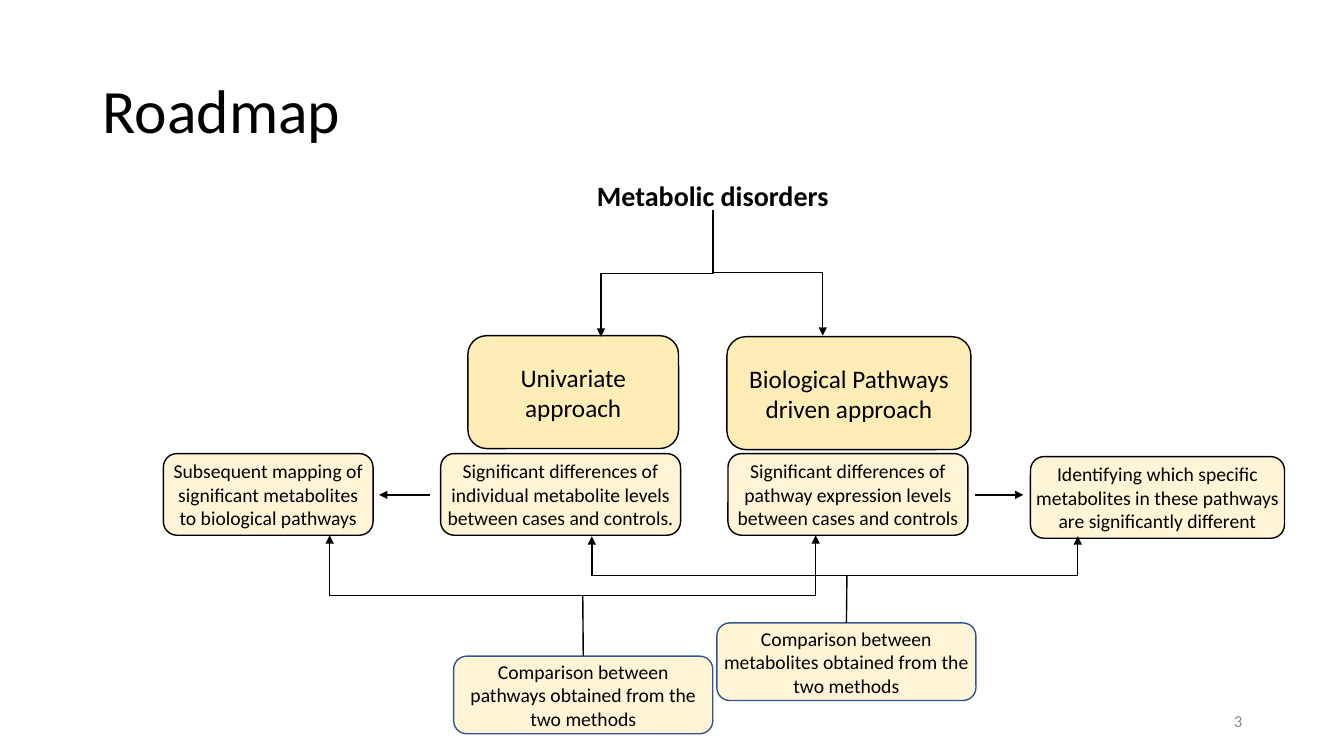
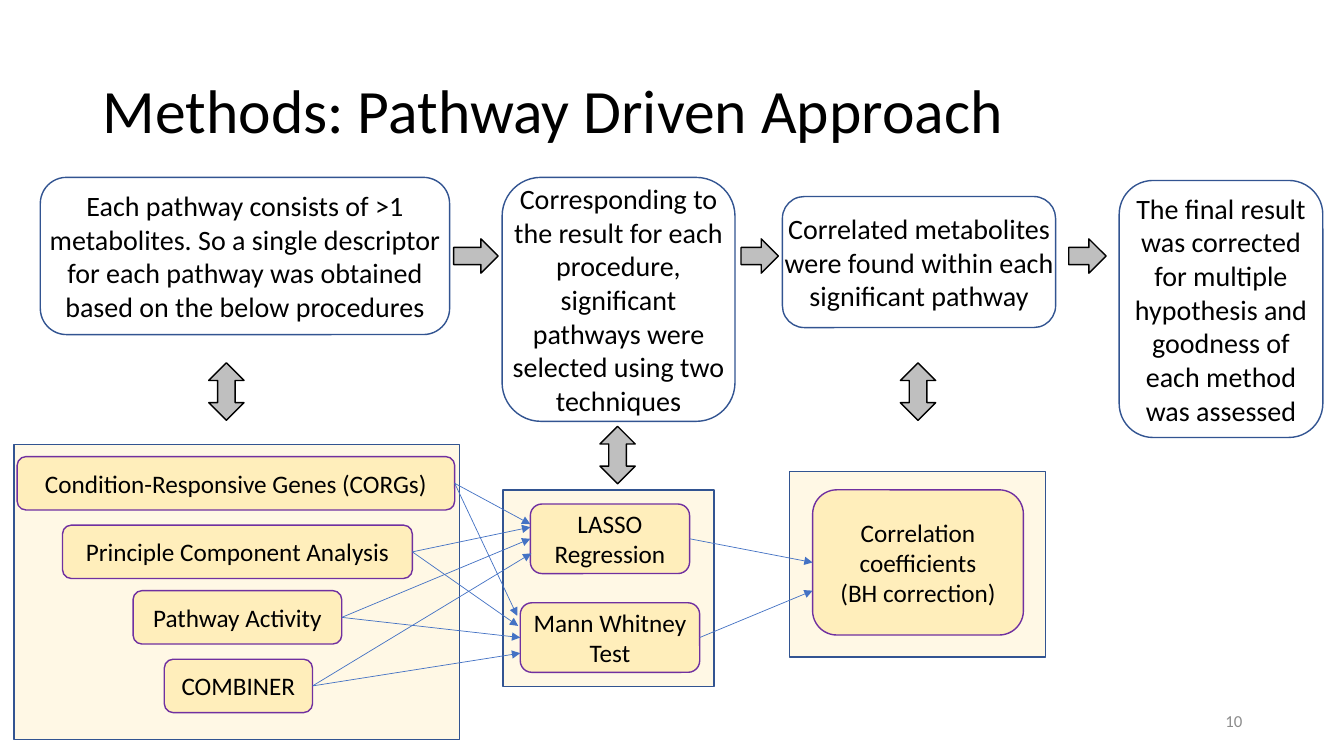
from lxml.etree import SubElement
from pptx import Presentation
from pptx.dml.color import RGBColor
from pptx.enum.shapes import MSO_CONNECTOR, MSO_SHAPE
from pptx.enum.text import MSO_ANCHOR, PP_ALIGN
from pptx.oxml.ns import qn
from pptx.util import Inches, Pt

FONT = "Calibri"
BLACK = RGBColor(0x00, 0x00, 0x00)
NUMBER_GREY = RGBColor(0x8C, 0x8C, 0x8C)
ARROW_GREY = RGBColor(0xBF, 0xBF, 0xBF)
GOLD = RGBColor(0xFF, 0xE6, 0x99)
CREAM = RGBColor(0xFF, 0xF2, 0xCC)
NAVY = RGBColor(0x32, 0x54, 0x91)
PURPLE = RGBColor(0x70, 0x30, 0xA0)
BLUE = RGBColor(0x44, 0x72, 0xC4)
ROUNDED = MSO_SHAPE.ROUNDED_RECTANGLE
RIGHT_SIDE, LEFT_SIDE, TOP_SIDE = 3, 1, 0


def add_box(slide, kind, place, text="", size=18, fill=None, opacity=100,
            outline=None, color=BLACK, bold=False, align=PP_ALIGN.CENTER):
    """Add a shape, or a plain text box when kind is None; place is in inches."""
    bounds = [Inches(value) for value in place]
    if kind is None:
        box = slide.shapes.add_textbox(*bounds)
    else:
        box = slide.shapes.add_shape(kind, *bounds)
        box.shadow.inherit = False
        box.line.color.rgb = outline
        box.line.width = Pt(1)
        if fill is None:
            box.fill.background()
        else:
            box.fill.solid()
            box.fill.fore_color.rgb = fill
            if opacity < 100:
                tint = box.fill._xPr.find(qn("a:solidFill"))[0]
                SubElement(tint, qn("a:alpha"), val=str(opacity * 1000))
    if text:
        frame = box.text_frame
        frame.word_wrap = True
        frame.vertical_anchor = MSO_ANCHOR.MIDDLE
        frame.margin_top = frame.margin_bottom = 0
        for index, words in enumerate(text.split("\n")):
            para = frame.add_paragraph() if index else frame.paragraphs[0]
            para.alignment = align
            span = para.add_run()
            span.text = words
            span.font.name = FONT
            span.font.size = Pt(size)
            span.font.bold = bold
            span.font.color.rgb = color
    return box


def add_line(slide, start, end, color=BLACK, width=1, arrow=True,
             kind=MSO_CONNECTOR.STRAIGHT):
    line = slide.shapes.add_connector(kind, *[Inches(v) for v in (*start, *end)])
    line.line.color.rgb = color
    line.line.width = Pt(width)
    if arrow:
        SubElement(line.line._get_or_add_ln(), qn("a:tailEnd"), type="triangle")
    SubElement(line._element.spPr, qn("a:effectLst"))
    return line


deck = Presentation()
deck.slide_width = Inches(13.33)
deck.slide_height = Inches(7.5)

slides = []
for title, number in [("Roadmap", "3"), ("Methods: Pathway Driven Approach", "10")]:
    slide = deck.slides.add_slide(deck.slide_layouts[6])
    heading = add_box(slide, None, (0.92, 0.4, 11.5, 1.45), title, 44,
                      align=PP_ALIGN.LEFT)
    heading.text_frame.paragraphs[0].line_spacing = 0.9
    add_box(slide, None, (9.42, 6.95, 3, 0.4), number, 12, color=NUMBER_GREY,
            align=PP_ALIGN.RIGHT)
    slides.append(slide)
roadmap, methods = slides

# Roadmap: the question and its two approaches
add_box(roadmap, None, (5.57, 1.72, 3, 0.44), "Metabolic disorders", 20, bold=True)
for place, text in [
    ((4.64, 3.33, 2.09, 1.12), "Univariate approach"),
    ((7.21, 3.34, 2.42, 1.12), "Biological Pathways driven approach"),
]:
    add_box(roadmap, ROUNDED, place, text, fill=GOLD, opacity=70, outline=BLACK)

# An elbow is laid flat, then turned so that it leaves downwards
for start, end, turn in [
    ((8.24, 2.16), (6.99, 3.25), 270),
    ((5.89, 2.16), (7.14, 3.27), 90),
]:
    elbow = add_line(roadmap, start, end, kind=MSO_CONNECTOR.ELBOW)
    elbow._element.spPr.find(qn("a:xfrm")).set("rot", str(turn * 60000))

# Labels may be wider than their box by the spread on either side
steps = []
for place, spread, outline, text in [
    ((1.62, 4.5, 2.08, 0.81), 0, BLACK,
     "Subsequent mapping of significant metabolites to biological pathways"),
    ((4.37, 4.5, 2.38, 0.81), 0.08, BLACK,
     "Significant differences of individual metabolite levels between cases and controls."),
    ((7.22, 4.5, 2.38, 0.81), 0.02, BLACK,
     "Significant differences of pathway expression levels between cases and controls"),
    ((10.22, 4.53, 2.52, 0.81), 0.1, BLACK,
     "Identifying which specific metabolites in these pathways are significantly different"),
    ((4.5, 6.51, 2.57, 0.77), 0, NAVY,
     "Comparison between pathways obtained from the two methods"),
    ((7.11, 6.18, 2.57, 0.77), 0.08, NAVY,
     "Comparison between metabolites obtained from the two methods"),
]:
    left, top, width, height = place
    steps.append(add_box(roadmap, ROUNDED, place, fill=GOLD, opacity=40, outline=outline))
    add_box(roadmap, None, (left - spread, top, width + 2 * spread, height), text, 14)

add_line(roadmap, (4.26, 4.91), (3.76, 4.91))
add_line(roadmap, (9.67, 4.91), (10.15, 4.91))

# Each comparison hangs from a bar that points up at two steps
for left, right, bar, tip, stem, comparison in [
    (3.27, 8.09, 5.91, 5.31, 5.78, steps[4]),
    (5.87, 10.69, 5.71, 5.32, 8.4, steps[5]),
]:
    add_line(roadmap, (left, bar), (right, bar), arrow=False)
    for x in (left, right):
        add_line(roadmap, (x, bar), (x, tip))
    hanger = add_line(roadmap, (stem, bar), (stem, bar + 0.5), arrow=False)
    hanger.end_connect(comparison, TOP_SIDE)

# Methods: panels and the techniques on them
for place in [(7.83, 4.68, 2.54, 1.84), (4.99, 4.86, 2.09, 1.95), (0.14, 4.41, 4.42, 2.93)]:
    add_box(methods, MSO_SHAPE.RECTANGLE, place, fill=CREAM, opacity=50, outline=NAVY)

techniques = []
for place, text in [
    ((0.17, 4.53, 4.34, 0.53), "Condition-Responsive Genes (CORGs)"),
    ((0.62, 5.21, 3.47, 0.53), "Principle Component Analysis"),
    ((1.32, 5.86, 2.07, 0.53), "Pathway Activity"),
    ((1.63, 6.54, 1.47, 0.53), "COMBINER"),
    ((5.26, 5, 1.58, 0.69), "LASSO Regression"),
    ((5.16, 5.98, 1.78, 0.69), "Mann Whitney Test"),
    ((8.06, 4.86, 2.09, 1.44), "Correlation coefficients\n(BH correction)"),
]:
    techniques.append(add_box(methods, ROUNDED, place, text, fill=GOLD, opacity=55,
                              outline=PURPLE))
corgs, components, activity, combiner, lasso, whitney, correlation = techniques

# A target is a point, or a box whose left side is met in the middle
for source, targets in [
    (corgs, [(5.26, 5.2), (5.13, 6.11)]),
    (components, [(5.26, 5.23), (5.14, 6.21)]),
    (activity, [lasso, whitney]),
    (combiner, [(5.27, 5.49), (5.16, 6.48)]),
    (lasso, [(8.06, 5.58)]),
    (whitney, [(8.06, 5.86)]),
]:
    for target in targets:
        is_point = isinstance(target, tuple)
        link = add_line(methods, (0, 0), target if is_point else (1, 1), BLUE, 0.5)
        link.begin_connect(source, RIGHT_SIDE)
        if not is_point:
            link.end_connect(target, LEFT_SIDE)

# Methods: the four stages along the top
for place, spread, text in [
    ((0.4, 1.76, 4.06, 1.56), 0.02,
     "Each pathway consists of >1 metabolites. So a single descriptor for each pathway "
     "was obtained based on the below procedures"),
    ((4.98, 1.76, 2.31, 2.42), 0.03,
     "Corresponding to the result for each procedure, significant pathways were selected "
     "using two techniques"),
    ((7.76, 1.95, 2.71, 1.3), 0.17,
     "Correlated metabolites were found within each significant pathway"),
    ((11.1, 1.79, 2.02, 2.55), 0,
     "The final result was corrected for multiple hypothesis and goodness of each method "
     "was assessed"),
]:
    left, top, width, height = place
    add_box(methods, ROUNDED, place, outline=NAVY)
    add_box(methods, None, (left - spread, top, width + 2 * spread, height), text, 20)

for left, width in [(4.5, 0.44), (7.35, 0.37), (10.6, 0.37)]:
    add_box(methods, MSO_SHAPE.RIGHT_ARROW, (left, 2.37, width, 0.34),
            fill=ARROW_GREY, outline=BLACK)
for left, top in [(1.96, 3.71), (5.84, 4.34), (8.82, 3.71)]:
    arrow = add_box(methods, MSO_SHAPE.LEFT_RIGHT_ARROW, (left, top, 0.57, 0.35),
                    fill=ARROW_GREY, outline=BLACK)
    arrow.rotation = 90

deck.save("out.pptx")
